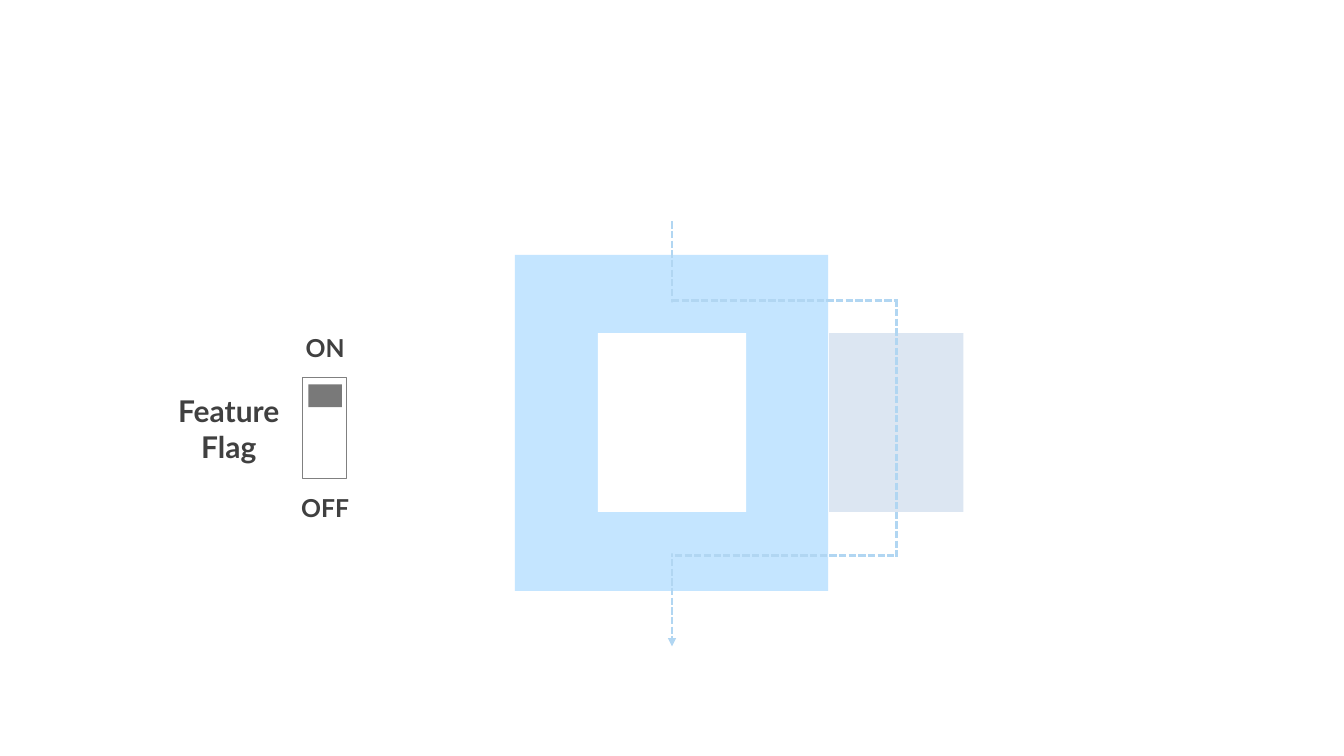
from lxml import etree
from pptx import Presentation
from pptx.dml.color import RGBColor
from pptx.enum.dml import MSO_LINE
from pptx.enum.shapes import MSO_CONNECTOR, MSO_SHAPE
from pptx.enum.text import MSO_ANCHOR, PP_ALIGN
from pptx.oxml.ns import qn
from pptx.util import Inches, Pt

RECTANGLE = MSO_SHAPE.RECTANGLE
STRAIGHT = MSO_CONNECTOR.STRAIGHT
DASH = MSO_LINE.SQUARE_DOT
CENTER = PP_ALIGN.CENTER
TOP, MIDDLE = MSO_ANCHOR.TOP, MSO_ANCHOR.MIDDLE

# Content: (left, top, width, height) in inches, with colours
SKY, ROUTE, WHITE = "C4E5FF", "B1D6F2", "FFFFFF"
SYSTEM = (5.21, 2.58, 3.17, 3.4)
NEW_MODULE = (8.39, 3.37, 1.36, 1.81)
ROUTE_COVER = (5.93, 3.06, 2, 2.54)
OLD_MODULE_GAP = (6.05, 3.37, 1.5, 1.81)
SWITCH_TRACK = (3.06, 3.82, 0.45, 1.02)
SWITCH_KNOB = (3.12, 3.89, 0.34, 0.23)

MAIN_FLOW = ((6.8, 2.24), (6.8, 6.54))
DETOUR = [
    ((6.8, 3.04), (9.07, 3.04)),
    ((9.07, 3.03), (9.07, 5.64)),
    ((6.83, 5.62), (9.09, 5.62)),
]

SWITCH_LABELS = [("ON", 3.37), ("OFF", 4.99)]
FLAG_TITLE = ["Feature", "Flag"]

deck = Presentation()
deck.slide_width, deck.slide_height = Inches(13.6), Inches(7.65)
page = deck.slides.add_slide(deck.slide_layouts[6])


def color(hex_code):
    return RGBColor.from_string(hex_code)


def add_box(area, fill, outline=None):
    box = page.shapes.add_shape(RECTANGLE, *map(Inches, area))
    box.shadow.inherit = False
    box.fill.solid()
    box.fill.fore_color.rgb = color(fill)
    if outline:
        box.line.color.rgb = color(outline)
        box.line.width = Pt(0.85)
    else:
        box.line.fill.background()


def add_route(start, end, arrow=False):
    route = page.shapes.add_connector(STRAIGHT, *map(Inches, start + end))
    route.line.color.rgb = color(ROUTE)
    route.line.width = Pt(1.75)
    route.line.dash_style = DASH
    if arrow:
        line = route.line._get_or_add_ln()
        etree.SubElement(line, qn("a:tailEnd"), type="triangle")
    etree.SubElement(route._element.spPr, qn("a:effectLst"))


def add_text(lines, area, size, anchor=TOP, margin=0):
    frame = page.shapes.add_textbox(*map(Inches, area)).text_frame
    frame.word_wrap = True
    frame.vertical_anchor = anchor
    frame.margin_left = frame.margin_right = 0
    frame.margin_top = frame.margin_bottom = Inches(margin)
    for index, line in enumerate(lines):
        para = frame.add_paragraph() if index else frame.paragraphs[0]
        para.alignment = CENTER
        span = para.add_run()
        span.text = line
        span.font.name = "Lato"
        span.font.size = Pt(size)
        span.font.bold = True
        span.font.color.rgb = color("404040")


# System with the flow redirected through the new module
add_box(SYSTEM, SKY)
add_route(*MAIN_FLOW, arrow=True)
add_box(NEW_MODULE, "DCE6F2")
for start, end in DETOUR:
    add_route(start, end)
add_box(ROUTE_COVER, SKY)
add_box(OLD_MODULE_GAP, WHITE)

# Feature flag switch
add_box(SWITCH_TRACK, WHITE, outline="808080")
for label, top in SWITCH_LABELS:
    add_text([label], (2.55, top, 1.48, 0.31), size=18)
add_box(SWITCH_KNOB, "797979")
add_text(FLAG_TITLE, (1.44, 3.94, 1.75, 0.8), size=21.8, anchor=MIDDLE, margin=0.09)

deck.save("out.pptx")
